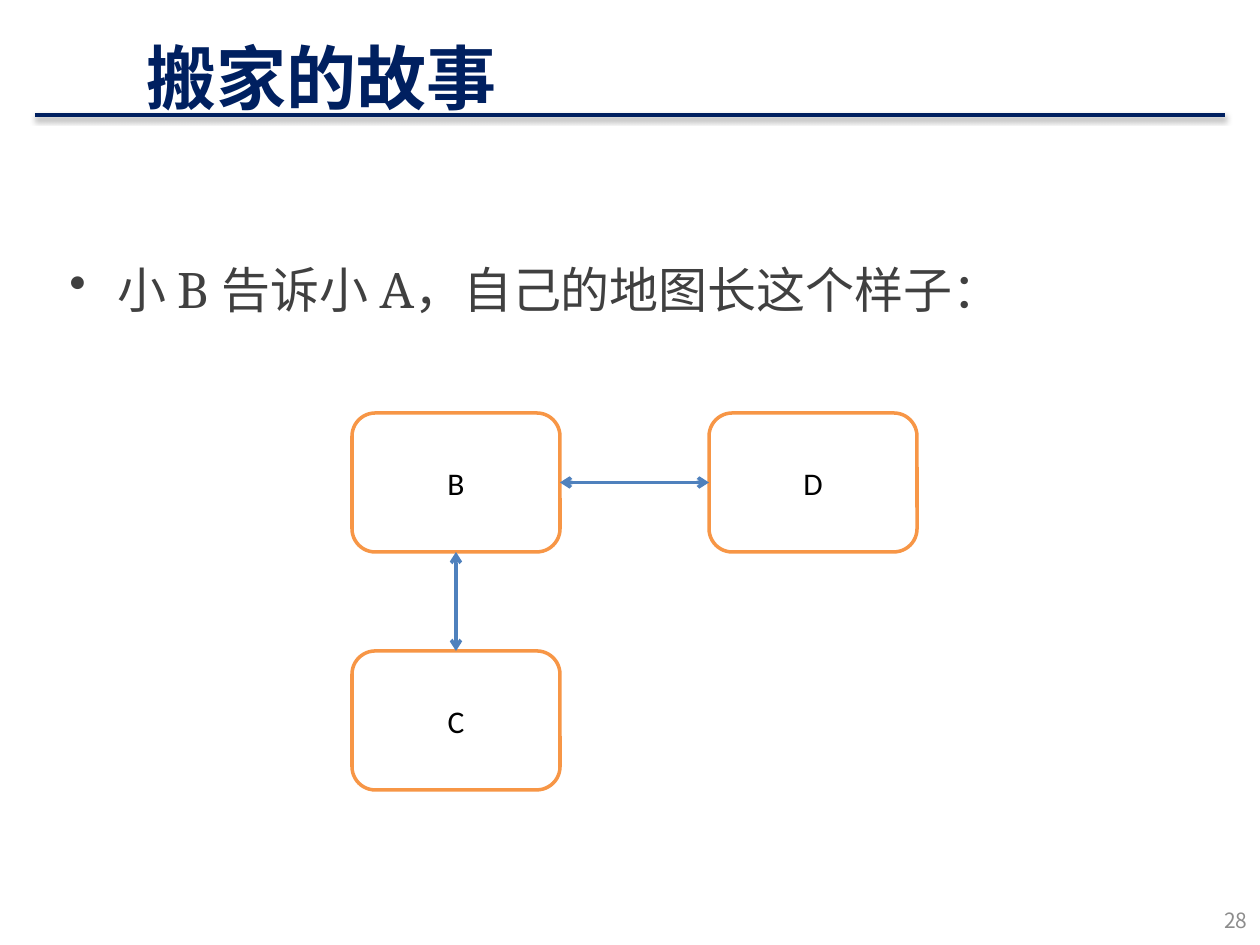
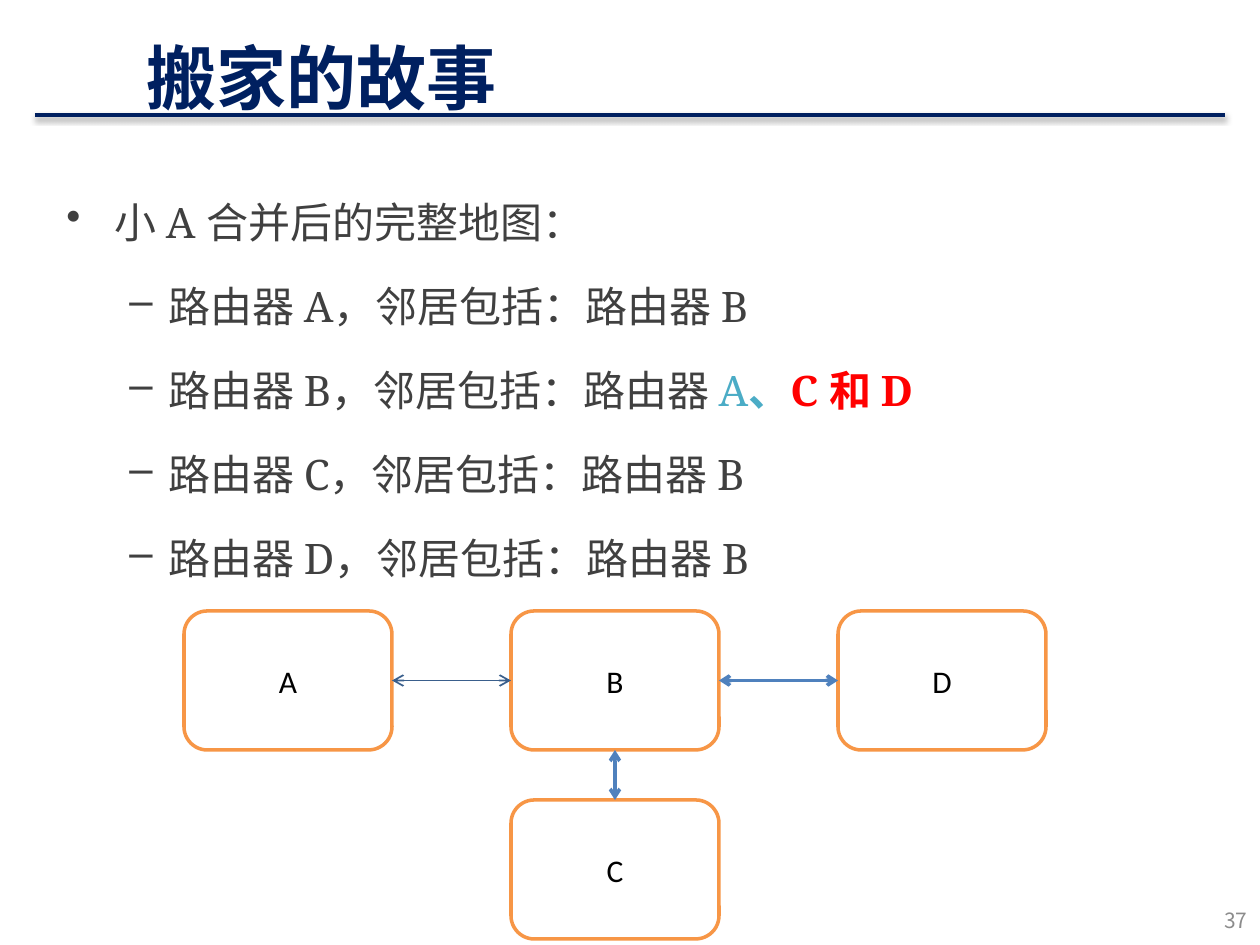
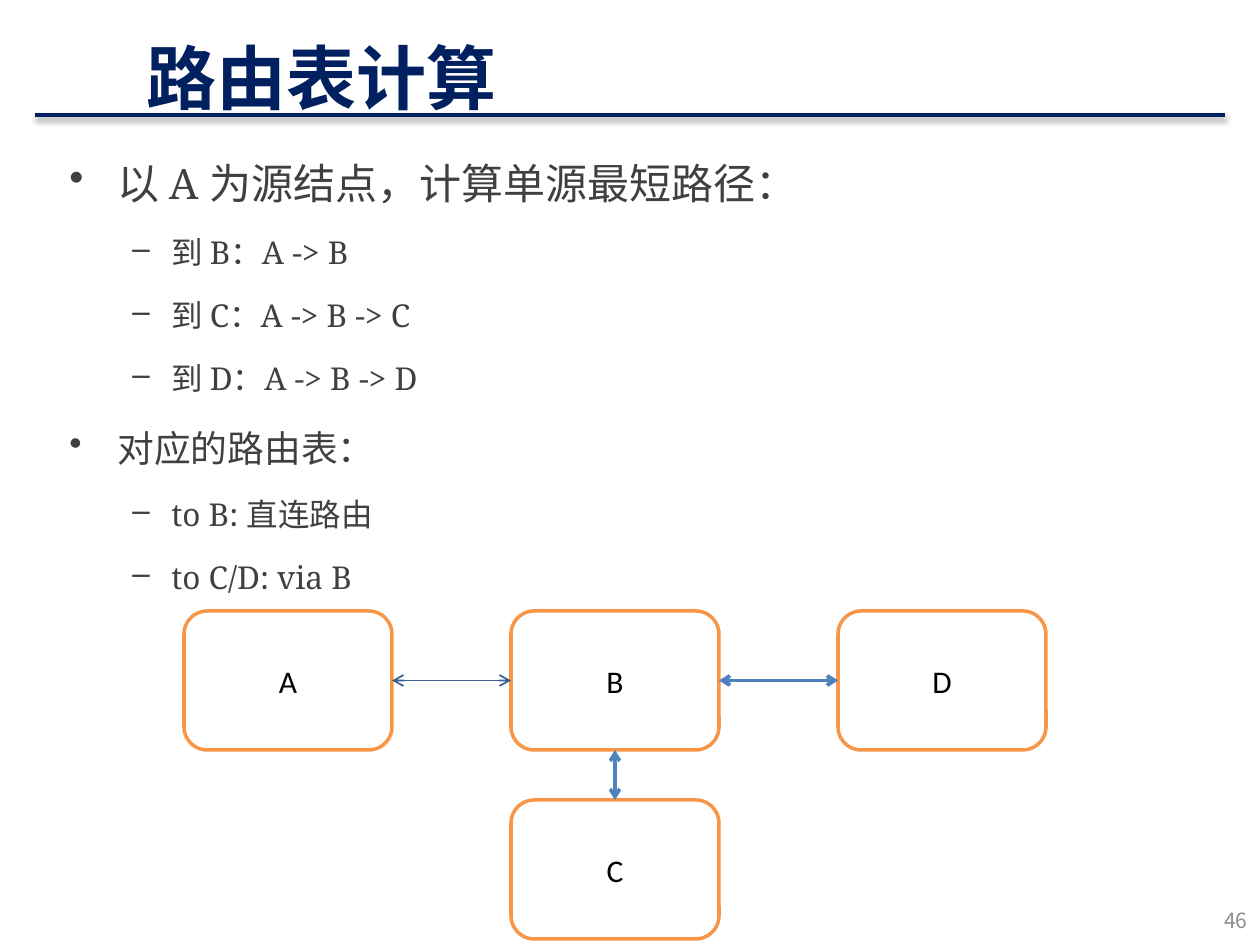
import pptx
import pptx.util
import pptx.dml.color
import pptx.enum.shapes
import pptx.enum.text
import pptx.oxml
import pptx.oxml.ns

PX = 914400 / 126
HUES = {"navy": "002060", "text": "404040", "gray": "8C8C8C", "white": "FFFFFF",
        "black": "000000", "edge": "F79646", "blue": "4F81BD", "steel": "3A5F8C",
        "aqua": "4BACC6", "red": "FF0000"}
ASIAN = "Noto Sans CJK SC"
NODE = (208, 139)
# Per level: bullet, left margin, hanging indent
LEVELS = [("•", 48, 48), ("–", 102, 39)]

# Router maps: corner, column and row steps, cells, links
SMALL = {"at": (352, 413), "step": (357, 238),
         "nodes": {"B": (0, 0), "C": (0, 1), "D": (1, 0)},
         "links": [("B", "C", "blue", 2), ("B", "D", "blue", 2)]}
FULL = {"at": (184, 611), "step": (327, 189),
        "nodes": {"A": (0, 0), "B": (1, 0), "C": (1, 1), "D": (2, 0)},
        "links": [("A", "B", "steel", 1), ("B", "C", "blue", 2),
                  ("B", "D", "blue", 2)]}

# Lines of text: level, size, runs of (text, hue, bold)
def plain(level, size, text):
    return level, size, [(text, "text", False)]


SLIDES = [
    {"title": "搬家的故事", "page": "28", "body": (57, 224), "map": SMALL,
     "lines": [plain(0, 28, "小 B 告诉小 A，自己的地图长这个样子：")]},
    {"title": "搬家的故事", "page": "37", "body": (54, 165), "map": FULL,
     "lines": [
         plain(0, 24, "小 A 合并后的完整地图："),
         plain(1, 24, "路由器 A，邻居包括：路由器 B"),
         (1, 24, [("路由器 B，邻居包括：路由器 ", "text", False), ("A", "aqua", False),
                  ("、", "aqua", True), ("C 和 D", "red", True)]),
         plain(1, 24, "路由器 C，邻居包括：路由器 B"),
         plain(1, 24, "路由器 D，邻居包括：路由器 B")]},
    {"title": "路由表计算", "page": "46", "body": (57, 126), "map": FULL,
     "lines": [
         plain(0, 24, "以 A 为源结点，计算单源最短路径："),
         plain(1, 18, "到 B：A -> B"),
         plain(1, 18, "到 C：A -> B -> C"),
         plain(1, 18, "到 D：A -> B -> D"),
         plain(0, 21, "对应的路由表："),
         plain(1, 18, "to B: 直连路由"),
         plain(1, 18, "to C/D: via B")]},
]


def emu(*vals):
    return [round(v * PX) for v in vals]


def rgb(hue):
    return pptx.dml.color.RGBColor.from_string(HUES[hue])


def node(parent, tag, **attrs):
    part = pptx.oxml.ns.qn(tag)
    item = parent.makeelement(part, {k: str(v) for k, v in attrs.items()})
    parent.append(item)
    return item


def add_run(para, text, font, size, hue, bold=False):
    run = para.add_run()
    run.text = text
    run.font.name = font
    run.font.size = pptx.util.Pt(size)
    run.font.bold = bold
    run.font.color.rgb = rgb(hue)
    node(run.font._element, "a:ea", typeface=ASIAN)


def add_box(slide, box, middle=True):
    frame = slide.shapes.add_textbox(*emu(*box)).text_frame
    frame.word_wrap = True
    if middle:
        frame.vertical_anchor = pptx.enum.text.MSO_ANCHOR.MIDDLE
    return frame


def add_line(slide, ends, hue, width):
    kind = pptx.enum.shapes.MSO_CONNECTOR.STRAIGHT
    line = slide.shapes.add_connector(kind, *emu(*ends))
    line.line.color.rgb = rgb(hue)
    line.line.width = pptx.util.Pt(width)
    return line, node(line._element.spPr, "a:effectLst")


# Title, rule with its soft shadow, page number
def add_frame(slide, title, page):
    _, fx = add_line(slide, (35, 115, 1225, 115), "navy", 2.5)
    shade = node(fx, "a:outerShdw", blurRad=40000, dist=23000, dir=5400000,
                 rotWithShape=0)
    node(node(shade, "a:srgbClr", val=HUES["black"]), "a:alpha", val=35000)
    head = add_box(slide, (134, 6, 1040, 100)).paragraphs[0]
    head.line_spacing = 1.5
    add_run(head, title, "Comic Neue", 40, "navy", True)
    foot = add_box(slide, (966, 895, 294, 50)).paragraphs[0]
    foot.alignment = pptx.enum.text.PP_ALIGN.RIGHT
    add_run(foot, page, ASIAN, 12, "gray")


def add_body(slide, spot, lines):
    frame = add_box(slide, (*spot, 1134, 624), False)
    for i, (level, size, runs) in enumerate(lines):
        para = frame.add_paragraph() if i else frame.paragraphs[0]
        mark, left, hang = LEVELS[level]
        props = para._p.get_or_add_pPr()
        props.set("marL", str(emu(left)[0]))
        props.set("indent", str(emu(-hang)[0]))
        node(props, "a:buChar", char=mark)
        para.level = level
        para.line_spacing = 1.5
        if i:
            para.space_before = pptx.util.Pt(round(size * 0.2, 1))
        for text, hue, bold in runs:
            add_run(para, text, "Noto Serif", size, hue, bold)


def add_map(slide, plan):
    (left, top), (dx, dy) = plan["at"], plan["step"]
    cells, cards = plan["nodes"], {}
    kind = pptx.enum.shapes.MSO_SHAPE.ROUNDED_RECTANGLE
    for name, (col, row) in cells.items():
        box = emu(left + col * dx, top + row * dy, *NODE)
        card = slide.shapes.add_shape(kind, *box)
        card.shadow.inherit = False
        card.fill.solid()
        card.fill.fore_color.rgb = rgb("white")
        card.line.color.rgb = rgb("edge")
        card.line.width = pptx.util.Pt(2)
        card.text_frame.vertical_anchor = pptx.enum.text.MSO_ANCHOR.MIDDLE
        para = card.text_frame.paragraphs[0]
        para.alignment = pptx.enum.text.PP_ALIGN.CENTER
        add_run(para, name, "Calibri", 18, "black")
        cards[name] = card
    for start, end, hue, width in plan["links"]:
        line, _ = add_line(slide, (0, 0, 0, 0), hue, width)
        # Sites: 0 top, 1 left, 2 bottom, 3 right
        level = cells[start][1] == cells[end][1]
        line.begin_connect(cards[start], 3 if level else 2)
        line.end_connect(cards[end], 1 if level else 0)
        stroke = line.line._get_or_add_ln()
        for tip in ("a:headEnd", "a:tailEnd"):
            node(stroke, tip, type="arrow")


def main():
    deck = pptx.Presentation()
    deck.slide_width, deck.slide_height = emu(1260, 945)
    for page in SLIDES:
        slide = deck.slides.add_slide(deck.slide_layouts[6])
        add_frame(slide, page["title"], page["page"])
        add_body(slide, page["body"], page["lines"])
        add_map(slide, page["map"])
    deck.save("out.pptx")


if __name__ == "__main__":
    main()
